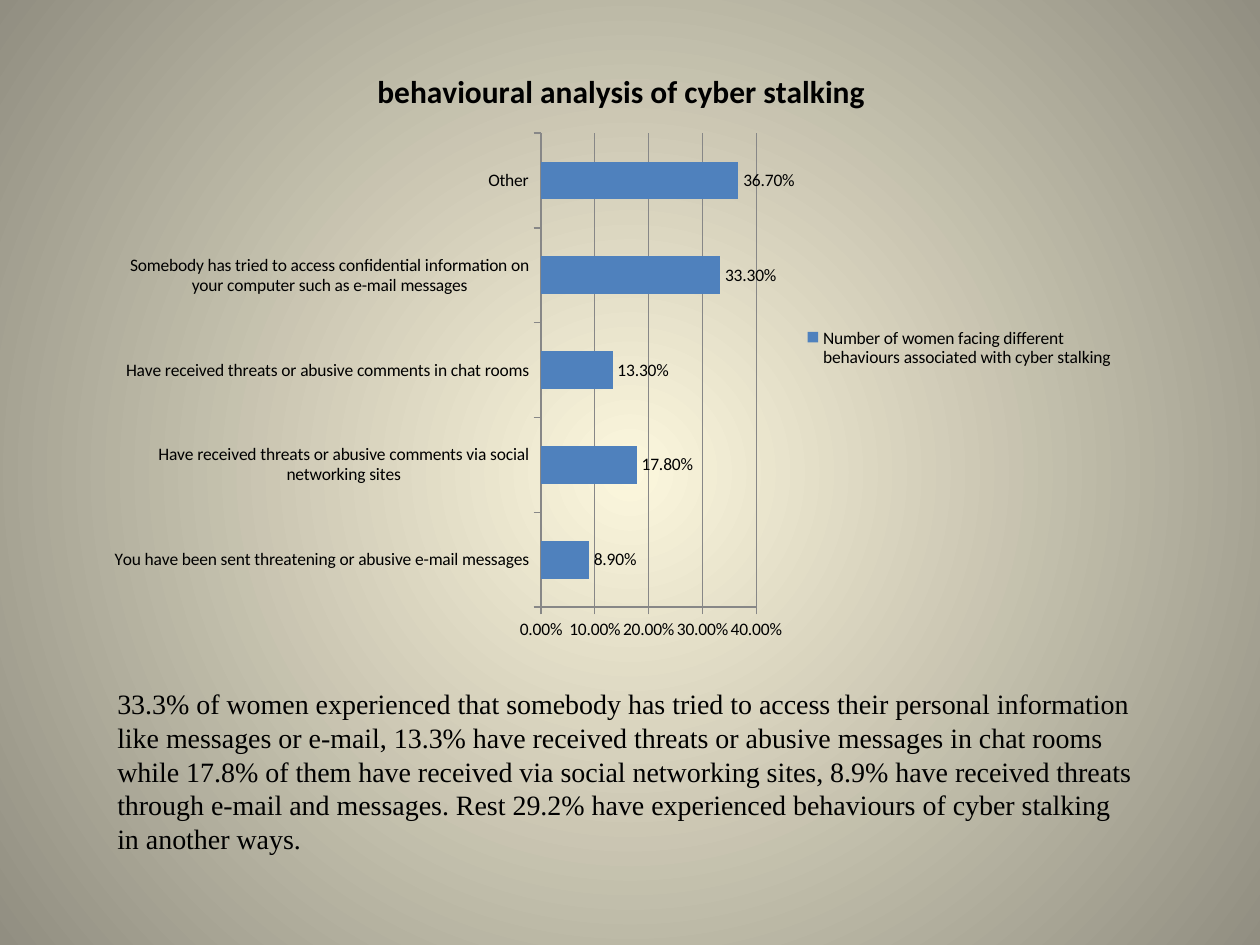
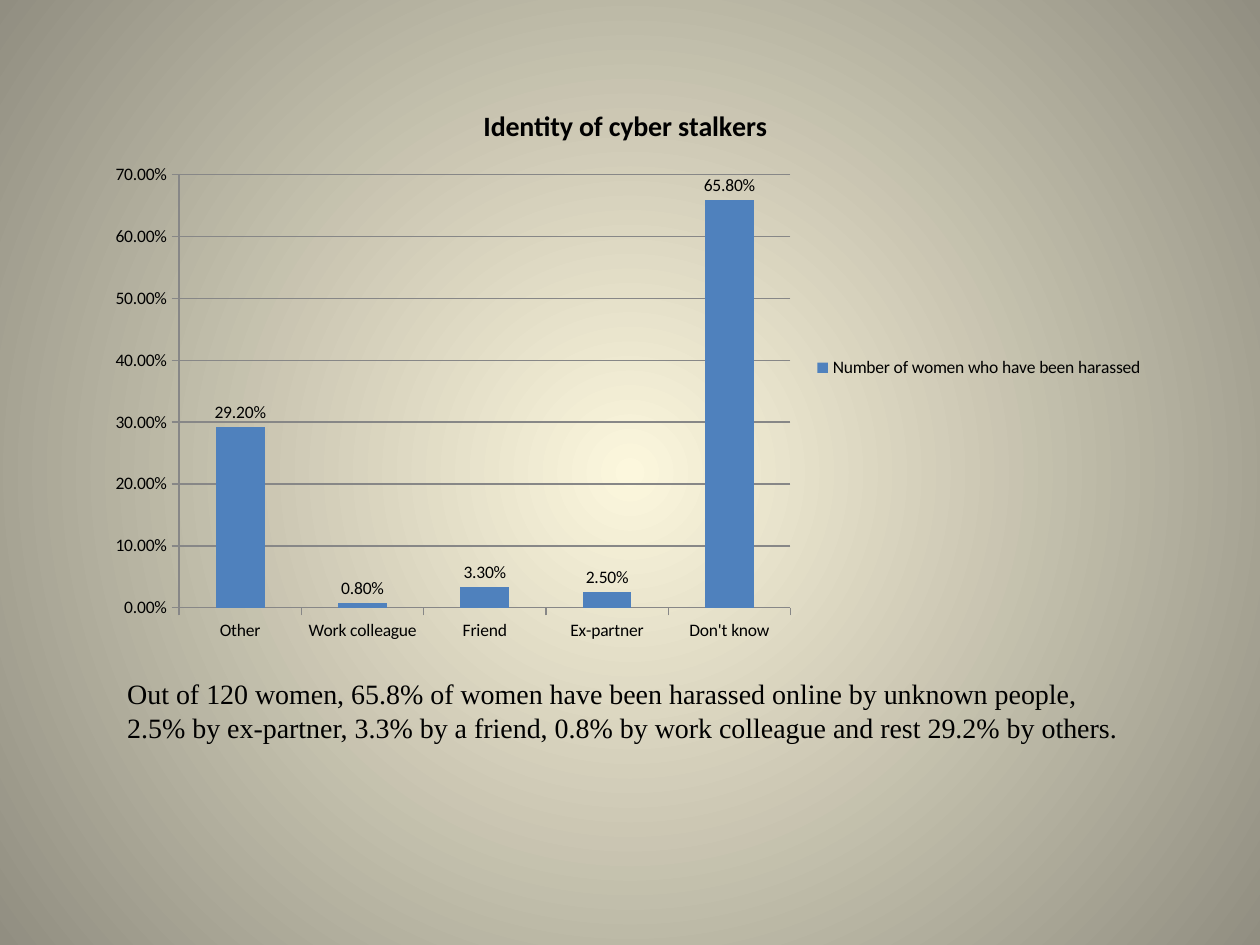
"""Build two slides, each a survey chart above a short finding."""
from lxml import etree
from pptx import Presentation
from pptx.chart.data import CategoryChartData
from pptx.dml.color import RGBColor
from pptx.enum.chart import XL_CHART_TYPE, XL_LABEL_POSITION, XL_LEGEND_POSITION
from pptx.enum.text import MSO_ANCHOR, PP_ALIGN
from pptx.oxml.ns import qn
from pptx.util import Cm, Pt

BAR = XL_CHART_TYPE.BAR_CLUSTERED
COLUMN = XL_CHART_TYPE.COLUMN_CLUSTERED
OUTSIDE = XL_LABEL_POSITION.OUTSIDE_END
LEGEND_RIGHT = XL_LEGEND_POSITION.RIGHT
TOP = MSO_ANCHOR.TOP
LEFT = PP_ALIGN.LEFT

CENTRE, EDGE = "FCF7DD", "918E81"
INK, SERIES, GRID = "000000", "4F81BD", "878787"
CHART_FONT, BODY_FONT = "Calibri", "Times New Roman"
PERCENT = "0.00%"

STALKING = [
    ("You have been sent threatening or abusive e-mail messages", 0.089),
    ("Have received threats or abusive comments via social networking sites", 0.178),
    ("Have received threats or abusive comments in chat rooms", 0.133),
    ("Somebody has tried to access confidential information on your computer "
     "such as e-mail messages", 0.333),
    ("Other", 0.367),
]
STALKERS = [
    ("Other", 0.292),
    ("Work colleague", 0.008),
    ("Friend", 0.033),
    ("Ex-partner", 0.025),
    ("Don't know", 0.658),
]


def rgb(value):
    return RGBColor.from_string(value)


def set_font(font, name, size, bold=False):
    font.name = name
    font.size = Pt(size)
    font.bold = bold
    font.color.rgb = rgb(INK)


def set_background(master):
    fill = master.background.fill
    fill.gradient()
    for stop, color in zip(fill.gradient_stops, (CENTRE, EDGE)):
        stop.color.rgb = rgb(color)
    grad = master.element.find(".//" + qn("a:gradFill"))
    grad.remove(grad.find(qn("a:lin")))
    circle = etree.SubElement(grad, qn("a:path"), path="circle")
    etree.SubElement(circle, qn("a:fillToRect"),
                     l="50000", t="50000", r="50000", b="50000")


def add_slide(prs):
    slide = prs.slides.add_slide(prs.slide_layouts[1])
    title = slide.shapes.title.element
    title.getparent().remove(title)
    return slide


def add_finding(slide, text, box):
    sp = slide.placeholders[1]
    sp.left, sp.top, sp.width, sp.height = (Cm(v) for v in box)
    tf = sp.text_frame
    tf.text = text
    tf.word_wrap = True
    tf.vertical_anchor = TOP
    p = tf.paragraphs[0]
    pPr = p._p.get_or_add_pPr()
    pPr.set("marL", "0")
    pPr.set("indent", "0")
    etree.SubElement(pPr, qn("a:buNone"))
    p.alignment = LEFT
    p.space_before = Pt(0)
    set_font(p.runs[0].font, BODY_FONT, 16)


def format_axes(chart, maximum):
    axis = chart.value_axis
    axis.minimum_scale, axis.maximum_scale = 0, maximum
    axis.major_unit = 0.1
    axis.tick_labels.number_format = PERCENT
    axis.tick_labels.number_format_is_linked = False
    axis.has_major_gridlines = True
    for line in (axis.major_gridlines.format.line, axis.format.line,
                 chart.category_axis.format.line):
        line.color.rgb = rgb(GRID)
        line.width = Pt(0.75)


def add_survey_chart(slide, kind, title, title_size, series_name, rows, maximum, box):
    data = CategoryChartData(number_format=PERCENT)
    data.categories = [label for label, _ in rows]
    data.add_series(series_name, [share for _, share in rows])
    chart = slide.shapes.add_chart(kind, *(Cm(v) for v in box), data).chart
    set_font(chart.font, CHART_FONT, 10)
    chart.has_title = True
    tf = chart.chart_title.text_frame
    tf.text = title
    set_font(tf.paragraphs[0].runs[0].font, CHART_FONT, title_size, bold=True)
    chart.has_legend = True
    chart.legend.position = LEGEND_RIGHT
    chart.legend.include_in_layout = False
    format_axes(chart, maximum)
    plot = chart.plots[0]
    plot.vary_by_categories = False
    plot.gap_width = 150
    fill = plot.series[0].format.fill
    fill.solid()
    fill.fore_color.rgb = rgb(SERIES)
    plot.has_data_labels = True
    labels = plot.data_labels
    labels.show_value = True
    labels.number_format = PERCENT
    labels.number_format_is_linked = False
    labels.position = OUTSIDE


def main():
    prs = Presentation()
    prs.slide_width, prs.slide_height = Cm(25.4), Cm(19.05)
    set_background(prs.slide_master)

    slide = add_slide(prs)
    add_finding(
        slide,
        "33.3% of women experienced that somebody has tried to access their personal "
        "information like messages or e-mail, 13.3% have received threats or abusive "
        "messages in chat rooms while 17.8% of them have received via social networking "
        "sites, 8.9% have received threats through e-mail and messages. Rest 29.2% have "
        "experienced behaviours of cyber stalking in another ways.",
        (2.11, 13.72, 21, 3.43))
    add_survey_chart(
        slide, BAR, "behavioural analysis of cyber stalking", 18,
        "Number of women facing different behaviours associated with cyber stalking",
        STALKING, 0.4, (2.31, 0.91, 20.4, 12.22))

    slide = add_slide(prs)
    add_finding(
        slide,
        "Out of 120 women, 65.8% of women have been harassed online by unknown people, "
        "2.5% by ex-partner, 3.3% by a friend, 0.8% by work colleague and rest 29.2% "
        "by others.",
        (2.31, 13.51, 20.6, 3.63))
    add_survey_chart(
        slide, COLUMN, "Identity of cyber stalkers", 16,
        "Number of women who have been harassed",
        STALKERS, 0.7, (1.9, 1.7, 21.41, 11.43))

    prs.save("out.pptx")


if __name__ == "__main__":
    main()
